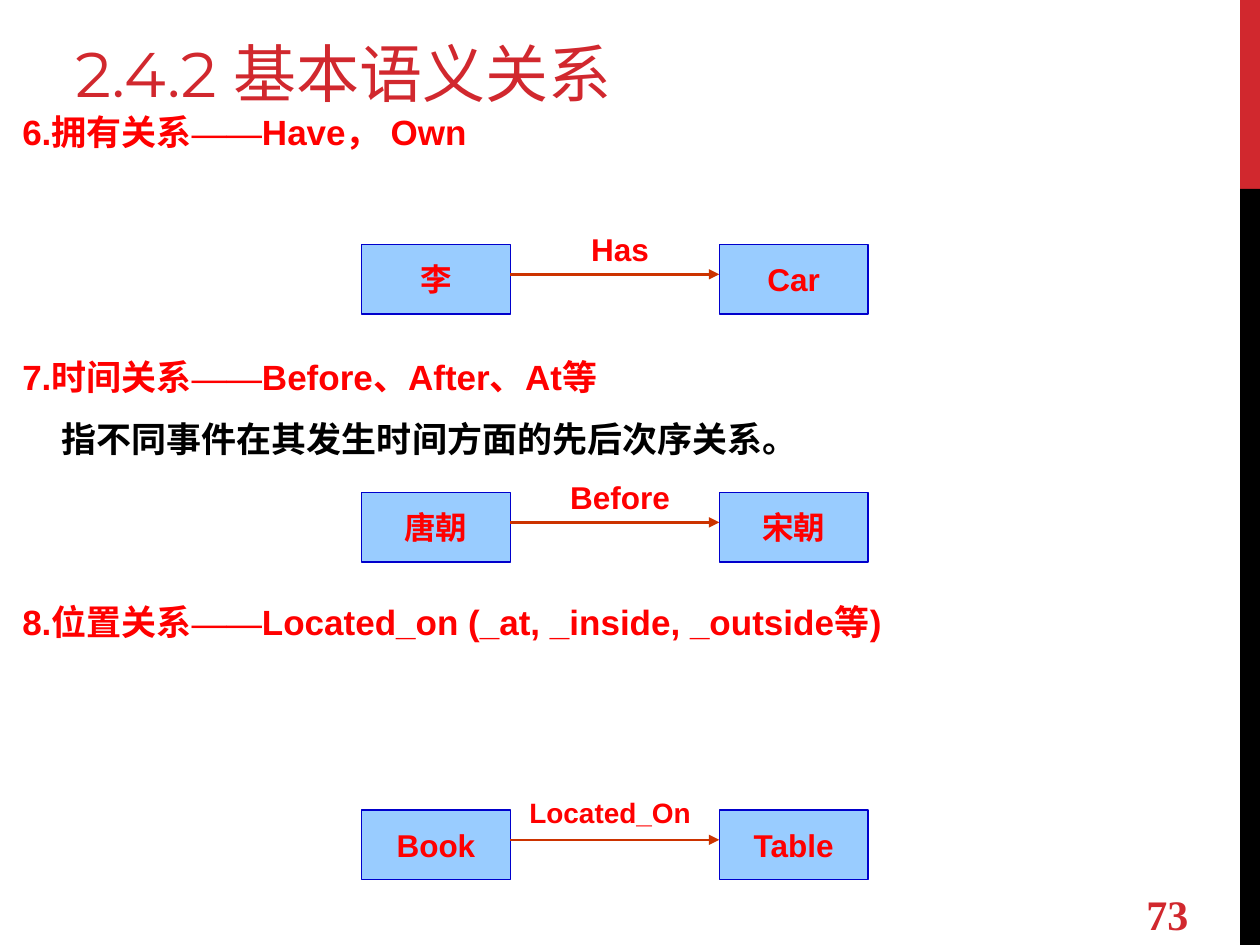
from dataclasses import dataclass

from lxml import etree
from pptx import Presentation
from pptx.dml.color import RGBColor
from pptx.enum.shapes import MSO_CONNECTOR, MSO_SHAPE
from pptx.enum.text import MSO_ANCHOR, PP_ALIGN
from pptx.oxml.ns import qn
from pptx.util import Cm, Pt

RECTANGLE = MSO_SHAPE.RECTANGLE
STRAIGHT = MSO_CONNECTOR.STRAIGHT
TOP, MIDDLE, BOTTOM = MSO_ANCHOR.TOP, MSO_ANCHOR.MIDDLE, MSO_ANCHOR.BOTTOM
LEFT, CENTER = PP_ALIGN.LEFT, PP_ALIGN.CENTER


@dataclass(frozen=True)
class Theme:
    """Colours, fonts and type sizes of the slide."""
    accent: str = "D1282E"
    black: str = "000000"
    red: str = "FF0000"
    node_fill: str = "99CCFF"
    node_line: str = "0000CC"
    arrow: str = "CC3300"
    title_font: str = "Montserrat"
    sans: str = "Arial"
    serif: str = "Times New Roman"
    title_size: int = 36
    number_size: int = 24
    body_size: int = 20
    node_size: int = 18
    small_size: int = 16
    line_pitch: int = 24


def write_text(paragraph, text, *, font, size, color, bold=True, align=LEFT):
    """Add a formatted run to a paragraph."""
    paragraph.alignment = align
    run = paragraph.add_run()
    run.text = text
    run.font.name = font
    run.font.size = Pt(size)
    run.font.bold = bold
    run.font.color.rgb = RGBColor.from_string(color)
    east_asian = etree.SubElement(run.font._element, qn("a:ea"))
    east_asian.set("typeface", font)


class SlideBuilder:
    """Draws each kind of element on the current slide in one style."""

    def __init__(self, slide, theme):
        """Keep the slide and its theme."""
        self.slide = slide
        self.theme = theme

    def rectangle(self, left, top, width, height, fill, line=None):
        """Add a filled rectangle with an optional outline."""
        shape = self.slide.shapes.add_shape(
            RECTANGLE, Cm(left), Cm(top), Cm(width), Cm(height))
        shape.shadow.inherit = False
        shape.fill.solid()
        shape.fill.fore_color.rgb = RGBColor.from_string(fill)
        if line:
            shape.line.color.rgb = RGBColor.from_string(line)
            shape.line.width = Pt(0.75)
        else:
            shape.line.fill.background()
        return shape

    def node(self, left, top, width, height, text):
        """Add a labelled box of a relation."""
        theme = self.theme
        shape = self.rectangle(left, top, width, height, theme.node_fill, theme.node_line)
        frame = shape.text_frame
        frame.word_wrap = False
        frame.vertical_anchor = MIDDLE
        write_text(frame.paragraphs[0], text, font=theme.sans, size=theme.node_size,
                   color=theme.red, align=CENTER)

    def text_frame(self, left, top, width, height, anchor=TOP):
        """Add a wrapping text box and return its frame."""
        box = self.slide.shapes.add_textbox(Cm(left), Cm(top), Cm(width), Cm(height))
        box.text_frame.word_wrap = True
        box.text_frame.vertical_anchor = anchor
        return box.text_frame

    def label(self, left, top, width, height, text, anchor=TOP, **text_format):
        """Add a text box with a single line."""
        frame = self.text_frame(left, top, width, height, anchor)
        write_text(frame.paragraphs[0], text, **text_format)

    def arrow(self, start, end, y):
        """Add a horizontal arrow."""
        connector = self.slide.shapes.add_connector(STRAIGHT, Cm(start), Cm(y), Cm(end), Cm(y))
        connector.line.color.rgb = RGBColor.from_string(self.theme.arrow)
        connector.line.width = Pt(1.5)
        properties = connector._element.spPr
        etree.SubElement(properties.find(qn("a:ln")), qn("a:tailEnd")).set("type", "triangle")
        etree.SubElement(properties, qn("a:effectLst"))

    def relation(self, top, source, target, name, size, label_left, label_width):
        """Add two boxes joined by a named arrow."""
        source_left, target_left, width, height = 7.29, 14.5, 3, 1.4
        self.node(source_left, top, width, height, source)
        self.node(target_left, top, width, height, target)
        self.arrow(source_left + width, target_left, top + 0.6)
        self.label(label_left, top - 0.41, label_width, 1, name, font=self.theme.sans,
                   size=size, color=self.theme.red, align=CENTER)

    def body(self, left, top, width, height, entries):
        """Add the paragraphs, each given as gap, indent, colour and runs."""
        frame = self.text_frame(left, top, width, height)
        for index, (gap, indent, color, runs) in enumerate(entries):
            paragraph = frame.add_paragraph() if index else frame.paragraphs[0]
            paragraph.space_before = Pt(gap)
            paragraph.space_after = Pt(6)
            paragraph.line_spacing = Pt(self.theme.line_pitch)
            paragraph._p.get_or_add_pPr().set("marL", str(Cm(indent)))
            for text, font in runs:
                write_text(paragraph, text, font=font, size=self.theme.body_size, color=color)


def main():
    """Build and save the slide."""
    theme = Theme()
    presentation = Presentation()
    presentation.slide_width, presentation.slide_height = Cm(25.4), Cm(19.05)
    slide = presentation.slides.add_slide(presentation.slide_layouts[6])
    builder = SlideBuilder(slide, theme)

    builder.rectangle(25, 0, 0.4, 3.81, theme.accent)
    builder.rectangle(25, 3.81, 0.4, 15.24, theme.black)
    builder.label(1.27, 0.43, 16.08, 1.91, "2.4.2 基本语义关系", BOTTOM, font=theme.title_font,
                  size=theme.title_size, color=theme.accent, bold=False)

    def heading(gap, name, terms):
        """Describe a numbered relation heading."""
        runs = [(name, theme.sans), ("——", theme.serif), (terms, theme.sans)]
        return gap, 0, theme.red, runs

    builder.body(0.2, 2.11, 24.6, 14.02, [
        heading(0, "6.拥有关系", "Have， Own"),
        heading(110, "7.时间关系", "Before、After、At等"),
        (5, 0.79, theme.black, [("指不同事件在其发生时间方面的先后次序关系。", theme.sans)]),
        heading(75, "8.位置关系", "Located_on (_at, _inside, _outside等)"),
    ])

    for relation in (
        (4.93, "李", "Car", "Has", theme.node_size, 11.1, 2.8),
        (9.93, "唐朝", "宋朝", "Before", theme.node_size, 11.1, 2.8),
        (16.33, "Book", "Table", "Located_On", theme.small_size, 10.1, 4.4),
    ):
        builder.relation(*relation)

    builder.label(22.86, 17.9, 2.5, 1.02, "73", MIDDLE, font=theme.serif,
                  size=theme.number_size, color=theme.accent)
    presentation.save("out.pptx")


if __name__ == "__main__":
    main()
